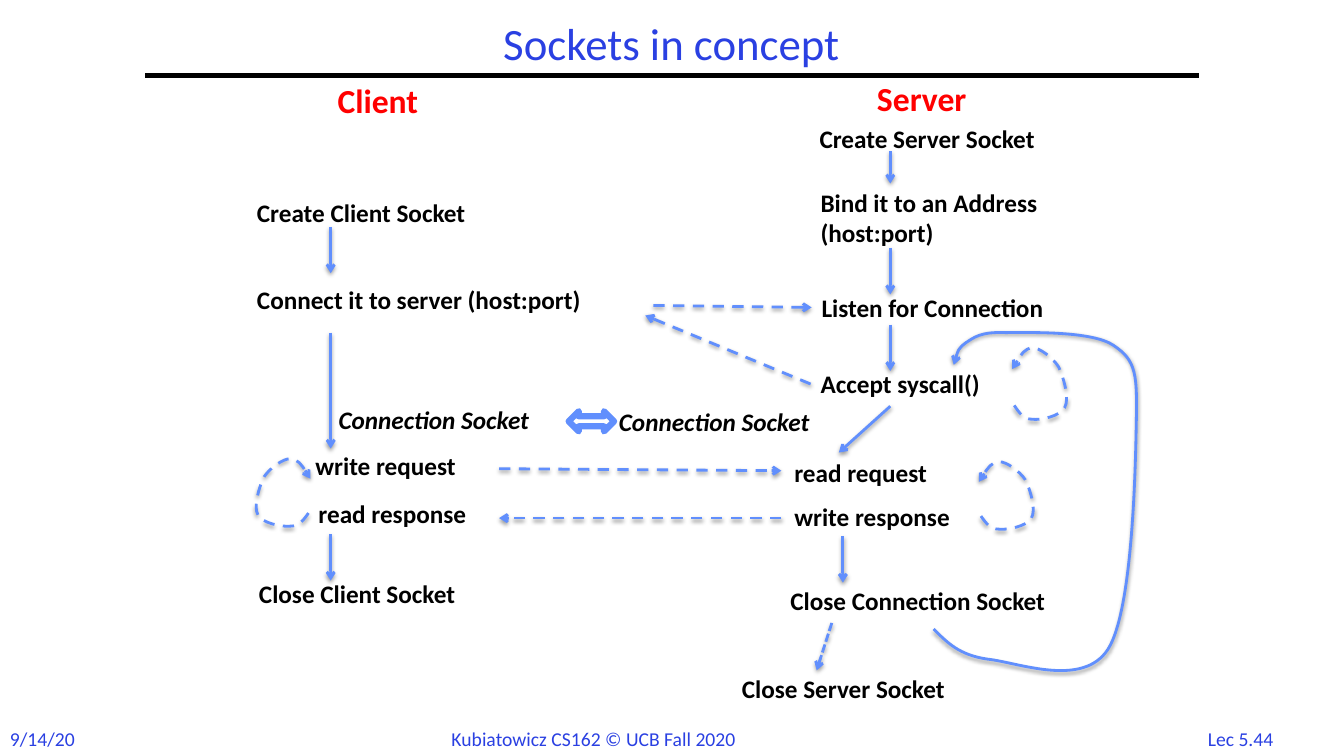
from lxml import etree
from pptx import Presentation
from pptx.dml.color import RGBColor
from pptx.enum.dml import MSO_LINE
from pptx.enum.shapes import MSO_CONNECTOR, MSO_SHAPE
from pptx.enum.text import MSO_ANCHOR, PP_ALIGN
from pptx.oxml.ns import qn
from pptx.util import Inches, Pt

STRAIGHT = MSO_CONNECTOR.STRAIGHT
DOUBLE_ARROW = MSO_SHAPE.LEFT_RIGHT_ARROW
DASH, SYS_DASH = MSO_LINE.DASH, MSO_LINE.SQUARE_DOT
MIDDLE = MSO_ANCHOR.MIDDLE
LEFT, CENTER = PP_ALIGN.LEFT, PP_ALIGN.CENTER
LEFT_SIDE = 1

FONT = "Calibri"
TITLE_BLUE = RGBColor(0x2A, 0x40, 0xE2)
ARROW_BLUE = RGBColor(0x61, 0x8F, 0xFD)
RED = RGBColor(0xFF, 0, 0)
BLACK = RGBColor(0, 0, 0)
WHITE = RGBColor(0xFF, 0xFF, 0xFF)

# text, (left, top, width, height), alignment
TITLE = ("Sockets in concept", (1.44, 0.17, 10.44, 0.58), CENTER)
FOOTERS = [
    ("Lec 5.44", (11.82, 7.16, 0.97, 0.34), CENTER),
    ("9/14/20", (0, 7.16, 0.85, 0.34), LEFT),
    ("Kubiatowicz CS162 © UCB Fall 2020", (4.38, 7.16, 3.43, 0.34), LEFT),
]
HEADINGS = [
    ("Client", (3.25, 0.74, 1.14, 0.5)),
    ("Server", (8.6, 0.72, 1.3, 0.5)),
]
LISTEN, ACCEPT = "Listen for Connection", "Accept syscall()"
STEPS = [
    ("Create Client Socket", (2.45, 1.91, 2.66, 0.4)),
    ("Connect it to server (host:port)", (2.45, 2.77, 3.92, 0.4)),
    ("write request", (3.03, 4.42, 1.77, 0.4)),
    ("read response", (3.06, 4.89, 1.91, 0.4)),
    ("Close Client Socket", (2.47, 5.69, 2.57, 0.4)),
    ("Create Server Socket", (8.03, 1.17, 2.74, 0.4)),
    ("Bind it to an Address\n(host:port)", (8.04, 1.81, 2.8, 0.71)),
    (LISTEN, (8.05, 2.85, 2.8, 0.4)),
    (ACCEPT, (8.04, 3.61, 2.13, 0.4)),
    ("read request", (7.78, 4.49, 1.77, 0.4)),
    ("write response", (7.78, 4.92, 1.99, 0.4)),
    ("Close Connection Socket", (7.74, 5.76, 3.25, 0.4)),
    ("Close Server Socket", (7.26, 6.63, 2.7, 0.4)),
]
CONNECTION_SOCKETS = [
    ("Connection Socket", (3.26, 3.96, 2.49, 0.4)),
    ("Connection Socket", (6.04, 3.98, 2.49, 0.4)),
]
SOCKET_LINK = (5.64, 4.08, 0.45, 0.2)
TITLE_RULE = ((1.44, 0.75), (11.89, 0.75))

# x, top, bottom
DOWN_ARROWS = [
    (3.28, 2.25, 2.71), (3.28, 3.3, 4.45), (3.28, 5.3, 5.76),
    (8.83, 1.5, 1.82), (8.83, 2.46, 2.92), (8.83, 3.22, 3.68),
    (8.36, 5.32, 5.78),
]
# start, end, dash
SLANTED_ARROWS = [
    ((8.83, 4.03), (8.32, 4.49), None),
    ((8.25, 6.18), (8.1, 6.65), SYS_DASH),
]
MESSAGES = [((4.95, 4.65), (7.75, 4.67), DASH), ((7.75, 5.14), (4.95, 5.14), DASH)]
CONNECT_REQUEST = ((6.48, 3.03), (8.05, 3.05), DASH)
ACCEPT_REPLY = ((8.04, 3.82), (6.4, 3.13), DASH)

# Curves: a start point, then three Bezier points for each segment
LOOP_WIDTH, LOOP_HEIGHT = 0.54, 0.67
LOOP = [
    (0.02, 0.54), (0.07, 0.61), (0.11, 0.67), (0.2, 0.67),
    (0.28, 0.68), (0.48, 0.64), (0.52, 0.56),
    (0.57, 0.48), (0.51, 0.28), (0.46, 0.18),
    (0.4, 0.09), (0.27, 0), (0.2, 0),
    (0.12, 0.01), (0.06, 0.1), (0, 0.2),
]
# left, top, height, mirrored
LOOPS = [
    (9.71, 4.58, 0.67, False),
    (2.54, 4.55, 0.67, True),
    (10.04, 3.45, 0.71, False),
]
NEXT_CLIENT = [
    (9.26, 6.24), (9.39, 6.37), (9.51, 6.5), (9.8, 6.54),
    (10.09, 6.57), (10.74, 6.83), (10.99, 6.44),
    (11.23, 6.06), (11.26, 4.71), (11.27, 4.21),
    (11.28, 3.71), (11.27, 3.58), (11.05, 3.43),
    (10.84, 3.28), (10.21, 3.3), (9.97, 3.3),
    (9.72, 3.29), (9.66, 3.35), (9.58, 3.4),
    (9.5, 3.46), (9.48, 3.54), (9.46, 3.62),
]

prs = Presentation()
prs.slide_width, prs.slide_height = Inches(13.33), Inches(7.5)
slide = prs.slides.add_slide(prs.slide_layouts[6])
shapes = slide.shapes


def add_text(text, place, size, color, align=LEFT, bold=False, italic=False):
    box = shapes.add_textbox(*map(Inches, place))
    box.text_frame.word_wrap = False
    box.text_frame.text = text
    for paragraph in box.text_frame.paragraphs:
        paragraph.alignment = align
        font = paragraph.runs[0].font
        font.name, font.size, font.bold, font.italic = FONT, Pt(size), bold, italic
        font.color.rgb = color
    return box


def style_arrow(arrow, dash):
    """Blue stroke with an arrowhead at its end and a soft shadow below."""
    arrow.line.color.rgb = ARROW_BLUE
    arrow.line.width = Pt(2)
    if dash:
        arrow.line.dash_style = dash
    properties = arrow.element.spPr
    etree.SubElement(properties.find(qn("a:ln")), qn("a:tailEnd"), type="arrow")
    effects = etree.SubElement(properties, qn("a:effectLst"))
    shadow = etree.SubElement(
        effects, qn("a:outerShdw"), blurRad=str(Pt(3.1)), dist=str(Pt(1.6)),
        dir="5400000", rotWithShape="0")
    black = etree.SubElement(shadow, qn("a:srgbClr"), val="000000")
    etree.SubElement(black, qn("a:alpha"), val="38000")


def add_line(start, end):
    return shapes.add_connector(STRAIGHT, *map(Inches, start + end))


def add_arrow(start, end, dash=None):
    arrow = add_line(start, end)
    style_arrow(arrow, dash)
    return arrow


def add_curve(points, dash=None):
    """Draw a freeform, then turn each three line points into one Bezier segment."""
    points = [(Inches(x), Inches(y)) for x, y in points]
    builder = shapes.build_freeform(*points[0])
    builder.add_line_segments(points[1:], close=False)
    curve = builder.convert_to_shape()
    curve.fill.background()
    style_arrow(curve, dash)
    outline = curve.element.spPr.find(".//" + qn("a:path"))
    segments = outline.findall(qn("a:lnTo"))
    for first in range(0, len(segments), 3):
        bezier = etree.SubElement(outline, qn("a:cubicBezTo"))
        for segment in segments[first:first + 3]:
            bezier.append(segment[0])
            outline.remove(segment)


for text, place, align in FOOTERS:
    add_text(text, place, 14, TITLE_BLUE, align)

title_rule = add_line(*TITLE_RULE)
title_rule.line.color.rgb = BLACK
title_rule.line.width = Pt(3)
etree.SubElement(title_rule.element.spPr, qn("a:effectLst"))

title_text, title_place, title_align = TITLE
title = add_text(title_text, title_place, 32, TITLE_BLUE, title_align)
title.text_frame.word_wrap = True
title.text_frame.vertical_anchor = MIDDLE
title.text_frame.paragraphs[0].line_spacing = 0.9

for text, place in HEADINGS:
    add_text(text, place, 24, RED, bold=True)
steps = {text: add_text(text, place, 18, BLACK, bold=True) for text, place in STEPS}
for text, place in CONNECTION_SOCKETS:
    add_text(text, place, 18, BLACK, bold=True, italic=True)

for x, top, bottom in DOWN_ARROWS:
    add_arrow((x, top), (x, bottom))
for start, end, dash in SLANTED_ARROWS + MESSAGES:
    add_arrow(start, end, dash)
add_arrow(*CONNECT_REQUEST).end_connect(steps[LISTEN], LEFT_SIDE)
add_arrow(*ACCEPT_REPLY).begin_connect(steps[ACCEPT], LEFT_SIDE)

for left, top, height, mirrored in LOOPS:
    add_curve([(left + (LOOP_WIDTH - x if mirrored else x),
                top + y * height / LOOP_HEIGHT) for x, y in LOOP], DASH)
add_curve(NEXT_CLIENT)

socket_link = shapes.add_shape(DOUBLE_ARROW, *map(Inches, SOCKET_LINK))
socket_link.shadow.inherit = False
socket_link.fill.solid()
socket_link.fill.fore_color.rgb = WHITE
socket_link.line.color.rgb = ARROW_BLUE
socket_link.line.width = Pt(4.5)

prs.save("out.pptx")
